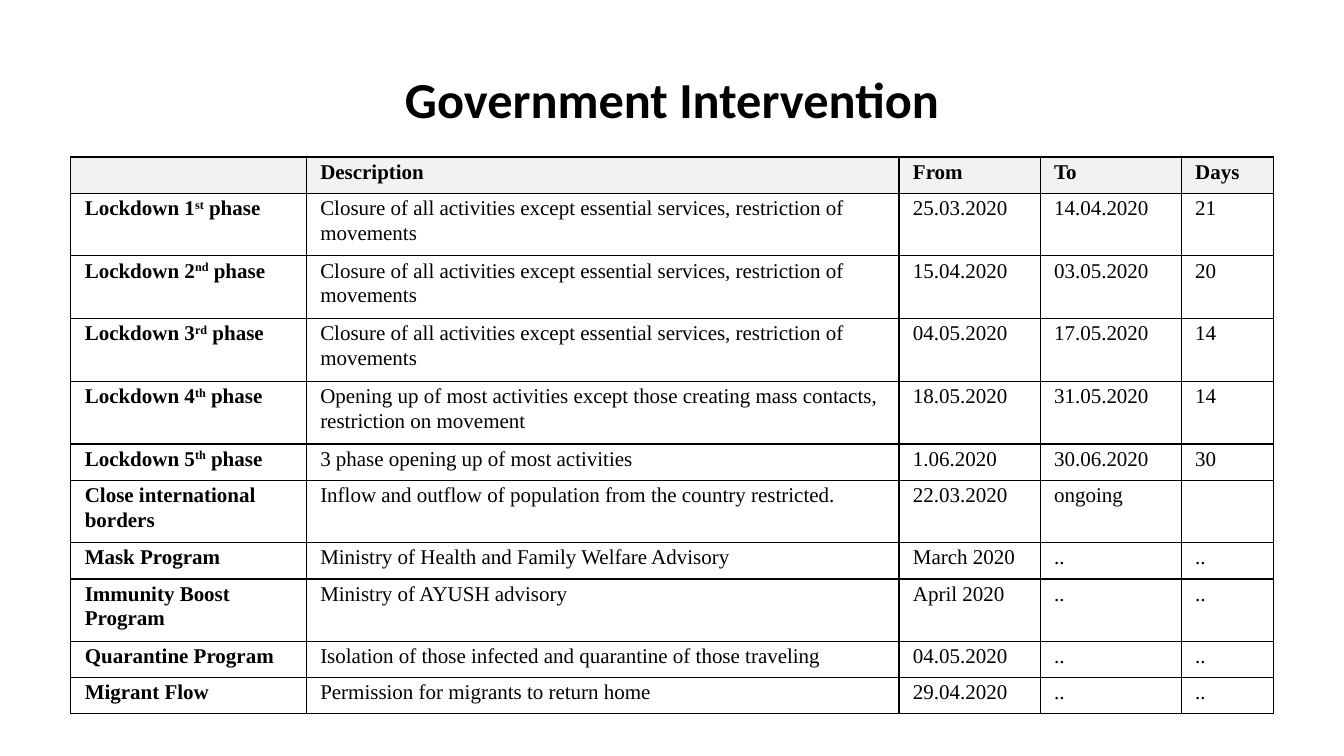
import pptx
import pptx.dml.color
import pptx.enum.text
import pptx.oxml
import pptx.oxml.ns
import pptx.util

Pt = pptx.util.Pt
BLACK = pptx.dml.color.RGBColor(0x00, 0x00, 0x00)
HEADER_GREY = pptx.dml.color.RGBColor(0xF2, 0xF2, 0xF2)

COLUMN_WIDTHS = (168.2, 423.4, 100.8, 100.8, 65.8)
LINE_HEIGHT = 19
ROW_PADDING = 6.8

CLOSURE = "Closure of all activities except essential services, restriction of movements"
# Text between two ^ marks is superscript; the first value is the row's line count.
ROWS = (
    (1, "", "Description", "From", "To", "Days"),
    (2, "Lockdown 1^st^ phase", CLOSURE, "25.03.2020", "14.04.2020", "21"),
    (2, "Lockdown 2^nd^ phase", CLOSURE, "15.04.2020", "03.05.2020", "20"),
    (2, "Lockdown 3^rd^ phase", CLOSURE, "04.05.2020", "17.05.2020", "14"),
    (2, "Lockdown 4^th^ phase",
     "Opening up of most activities except those creating mass contacts, restriction on movement",
     "18.05.2020", "31.05.2020", "14"),
    (1, "Lockdown 5^th^ phase", "3 phase opening up of most activities",
     "1.06.2020", "30.06.2020", "30"),
    (2, "Close international borders",
     "Inflow and outflow of population from the country restricted.",
     "22.03.2020", "ongoing", ""),
    (1, "Mask Program", "Ministry of Health and Family Welfare Advisory", "March 2020", "..", ".."),
    (2, "Immunity Boost Program", "Ministry of AYUSH advisory", "April 2020", "..", ".."),
    (1, "Quarantine Program", "Isolation of those infected and quarantine of those traveling",
     "04.05.2020", "..", ".."),
    (1, "Migrant Flow", "Permission for migrants to return home", "29.04.2020", "..", ".."),
)


def write_text(text_frame, text, *, font, size, bold=False, color=BLACK,
               align=pptx.enum.text.PP_ALIGN.LEFT, line_spacing=1.0):
    """Write one paragraph, raising the parts between ^ marks."""
    paragraph = text_frame.paragraphs[0]
    paragraph.alignment = align
    paragraph.line_spacing = line_spacing
    for index, part in enumerate(text.split("^")):
        if not part:
            continue
        run = paragraph.add_run()
        run.text = part
        run.font.name = font
        run.font.size = Pt(size)
        run.font.bold = bold
        run.font.color.rgb = color
        if index % 2:
            run.font._element.set("baseline", "30000")


def add_borders(cell, color=BLACK, width=1):
    properties = cell._tc.get_or_add_tcPr()
    for side in ("lnL", "lnR", "lnT", "lnB"):
        properties.append(pptx.oxml.parse_xml(
            f'<a:{side} {pptx.oxml.ns.nsdecls("a")} w="{Pt(width)}">'
            f'<a:solidFill><a:srgbClr val="{color}"/></a:solidFill></a:{side}>'))


def place_title(slide, left, top, width, height):
    title = slide.shapes.title
    title.left, title.top, title.width, title.height = map(Pt, (left, top, width, height))
    title.text_frame.vertical_anchor = pptx.enum.text.MSO_ANCHOR.BOTTOM
    write_text(title.text_frame, "Government Intervention", font="Calibri", size=36, bold=True,
               align=pptx.enum.text.PP_ALIGN.CENTER, line_spacing=0.9)


def format_cell(cell, text, is_header, bold):
    cell.margin_left = cell.margin_right = Pt(10)
    cell.margin_top, cell.margin_bottom = Pt(1.4), Pt(0)
    add_borders(cell)
    if is_header:
        cell.fill.solid()
        cell.fill.fore_color.rgb = HEADER_GREY
    else:
        cell.fill.background()
    write_text(cell.text_frame, text, font="Times New Roman", size=15, bold=bold,
               line_spacing=1.07)


def add_intervention_table(slide, left, top):
    heights = [ROW_PADDING + LINE_HEIGHT * row[0] for row in ROWS]
    table = slide.shapes.add_table(len(ROWS), len(COLUMN_WIDTHS), Pt(left), Pt(top),
                                   Pt(sum(COLUMN_WIDTHS)), Pt(sum(heights))).table
    table.horz_banding = False
    for column, width in zip(table.columns, COLUMN_WIDTHS):
        column.width = Pt(width)
    for row_index, (row, height) in enumerate(zip(ROWS, heights)):
        table.rows[row_index].height = Pt(height)
        for column_index, text in enumerate(row[1:]):
            is_header = row_index == 0
            format_cell(table.cell(row_index, column_index), text, is_header,
                        bold=is_header or column_index == 0)


def main():
    presentation = pptx.Presentation()
    presentation.slide_width, presentation.slide_height = Pt(960), Pt(540)
    slide = presentation.slides.add_slide(presentation.slide_layouts.get_by_name("Title Only"))
    add_intervention_table(slide, 50.6, 112.2)
    place_title(slide, 66, 23, 828, 73.4)
    presentation.save("out.pptx")


if __name__ == "__main__":
    main()
